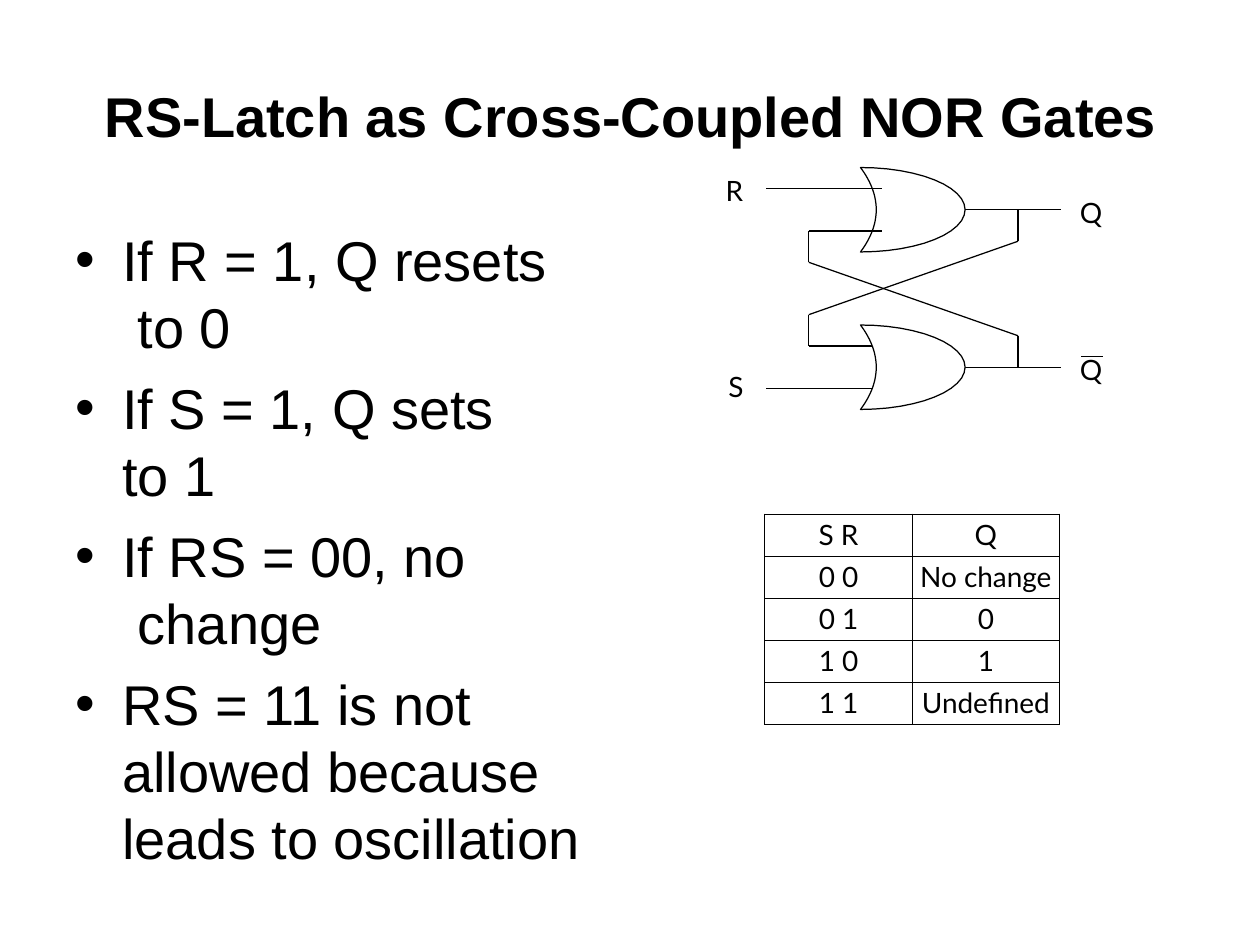
import math

import pptx
import pptx.dml.color
import pptx.enum.shapes
import pptx.enum.text
import pptx.oxml
import pptx.oxml.ns
import pptx.util
from pptx.util import Inches

BLACK = pptx.dml.color.RGBColor(0, 0, 0)
WHITE = pptx.dml.color.RGBColor(255, 255, 255)
LINE_WIDTH = pptx.util.Pt(0.72)
ALIGN = pptx.enum.text.PP_ALIGN

TITLE = "RS-Latch as Cross-Coupled NOR Gates"
RULES = [
    "If R = 1, Q resets\v to 0",
    "If S = 1, Q sets\vto 1",
    "If RS = 00, no\v change",
    "RS = 11 is not\vallowed because\vleads to oscillation",
]
TRUTH_TABLE = [
    ("S R", "Q"),
    ("0 0", "No change"),
    ("0 1", "0"),
    ("1 0", "1"),
    ("1 1", "Undefined"),
]


def write_text(paragraph, text, font="Lato", size=16, bold=False,
               align=ALIGN.LEFT, before=0.9, line_height=None):
    paragraph.text = text
    paragraph.alignment = align
    paragraph.space_before = pptx.util.Pt(before)
    if line_height:
        paragraph.line_spacing = pptx.util.Pt(line_height)
    for run in paragraph.runs:
        run.font.name = font
        run.font.size = pptx.util.Pt(size)
        run.font.bold = bold
        run.font.color.rgb = BLACK


def prepare_frame(shape, wrap=True, left=0.01):
    frame = shape.text_frame
    frame.margin_left = Inches(left)
    frame.margin_right = frame.margin_bottom = 0
    frame.margin_top = Inches(0.01)
    frame.word_wrap = wrap
    frame.auto_size = pptx.enum.text.MSO_AUTO_SIZE.NONE
    frame.vertical_anchor = pptx.enum.text.MSO_ANCHOR.TOP
    return frame


def place(shape, left, top, width, height):
    shape.left, shape.top = Inches(left), Inches(top)
    shape.width, shape.height = Inches(width), Inches(height)


def add_title(slide, *box):
    title = slide.shapes.title
    place(title, *box)
    write_text(prepare_frame(title, wrap=False).paragraphs[0], TITLE,
               font="Arial", size=32, bold=True, before=1.1, line_height=38.4)


def add_rules(slide, *box):
    body = slide.placeholders[1]
    place(body, *box)
    frame = prepare_frame(body, left=0)
    for index, rule in enumerate(RULES):
        paragraph = frame.add_paragraph() if index else frame.paragraphs[0]
        write_text(paragraph, rule, font="Arial", size=32,
                   before=7.7 if index else 1.1, line_height=38.4)
        properties = paragraph._p.get_or_add_pPr()
        properties.set("marL", str(Inches(0.38)))
        properties.set("indent", str(Inches(-0.37)))


def style_outline(shape, fill=None):
    shape.shadow.inherit = False
    shape.line.color.rgb = BLACK
    shape.line.width = LINE_WIDTH
    if fill is None:
        shape.fill.background()
    else:
        shape.fill.solid()
        shape.fill.fore_color.rgb = fill


def add_wires(slide, segments):
    """One outline holding several separate straight wires."""
    builder = None
    for x1, y1, x2, y2 in segments:
        start, end = (Inches(x1), Inches(y1)), (Inches(x2), Inches(y2))
        if builder is None:
            builder = slide.shapes.build_freeform(*start)
        else:
            builder.move_to(*start)
        builder.add_line_segments([end], close=False)
    style_outline(builder.convert_to_shape())


def add_gate(slide, left, top, width, height, fill=None):
    """OR-style body: half-ellipse front and parabolic back."""
    steps, depth = 24, 0.125
    middle, radius = top + height / 2, height / 2
    front, back = [], []
    for step in range(steps + 1):
        angle = math.pi * (step / steps - 0.5)
        front.append((left + width * math.cos(angle), middle + radius * math.sin(angle)))
        offset = 1 - 2 * step / steps
        back.append((left + depth * (1 - offset ** 2), middle + radius * offset))
    points = [(Inches(x), Inches(y)) for x, y in front + back[1:-1]]
    builder = slide.shapes.build_freeform(*points[0])
    builder.add_line_segments(points[1:], close=True)
    style_outline(builder.convert_to_shape(), fill)


def add_label(slide, text, left, top):
    label = slide.shapes.add_textbox(Inches(left), Inches(top), Inches(0.18), Inches(0.29))
    write_text(prepare_frame(label, wrap=False).paragraphs[0], text)


def add_overbar(slide, left, top, width):
    bar = slide.shapes.add_connector(
        pptx.enum.shapes.MSO_CONNECTOR.STRAIGHT,
        Inches(left), Inches(top), Inches(left + width), Inches(top))
    bar.line.color.rgb = BLACK
    bar.line.width = LINE_WIDTH
    bar._element.spPr.append(pptx.oxml.parse_xml(
        f"<a:effectLst {pptx.oxml.ns.nsdecls('a')}/>"))


def add_latch(slide, left, top, width, height):
    gate_width, gate_height, overlap, stub = 0.83, 0.67, 0.17, 0.25
    start, end = left + 0.33, left + width - 0.33
    left_node, right_node = start + 0.34, end - 0.34
    gate_left = left + 1.08
    tip, inner = gate_left + gate_width, gate_left + overlap
    upper, lower = top, top + height - gate_height

    quarter, half = gate_height / 4, gate_height / 2
    upper_output, lower_output = upper + half, lower + half
    reset, set_input = upper + quarter, lower + 3 * quarter
    upper_feedback, lower_feedback = upper + 3 * quarter, lower + quarter
    upper_left, upper_right = upper_feedback + stub, upper_output + stub
    lower_left, lower_right = lower_feedback - stub, lower_output - stub

    # Upper gate
    add_wires(slide, [
        (tip, upper_output, right_node, upper_output),
        (left_node, upper_feedback, inner, upper_feedback),
        (left_node, reset, inner, reset),
    ])
    add_gate(slide, gate_left, upper, gate_width, gate_height)

    # Lower gate covers the ends of its inputs
    add_wires(slide, [
        (left_node, upper_feedback, left_node, upper_left),
        (right_node, upper_output, right_node, upper_right),
        (tip, lower_output, right_node, lower_output),
        (left_node, set_input, inner, set_input),
        (left_node, lower_feedback, inner, lower_feedback),
    ])
    add_gate(slide, gate_left, lower, gate_width, gate_height, WHITE)

    # Crossed feedback and outer leads
    add_wires(slide, [
        (left_node, lower_left, left_node, lower_feedback),
        (right_node, lower_right, right_node, lower_output),
        (left_node, upper_left, right_node, lower_right),
        (left_node, lower_left, right_node, upper_right),
        (start, reset, left_node, reset),
        (right_node, upper_output, end, upper_output),
        (right_node, lower_output, end, lower_output),
        (start, set_input, left_node, set_input),
    ])

    # Signal names, with a bar over the inverted output
    output_left = left + width - 0.19
    add_label(slide, "R", left, top + 0.04)
    add_label(slide, "S", left + 0.02, top + 1.59)
    add_label(slide, "Q", output_left, top + 0.21)
    add_label(slide, "Q", output_left, top + 1.46)
    add_overbar(slide, output_left + 0.02, top + 1.5, 0.17)


def add_cell_borders(cell):
    properties = cell._tc.get_or_add_tcPr()
    for index, side in enumerate(("lnL", "lnR", "lnT", "lnB")):
        properties.insert(index, pptx.oxml.parse_xml(
            f"<a:{side} {pptx.oxml.ns.nsdecls('a')} w=\"{pptx.util.Pt(0.75)}\">"
            f"<a:solidFill><a:srgbClr val=\"{BLACK}\"/></a:solidFill></a:{side}>"))


def add_truth_table(slide, *box):
    table = slide.shapes.add_table(len(TRUTH_TABLE), 2, *map(Inches, box)).table
    table.first_row = table.horz_banding = False
    for row, values in enumerate(TRUTH_TABLE):
        for column, value in enumerate(values):
            cell = table.cell(row, column)
            cell.margin_left = cell.margin_right = cell.margin_bottom = 0
            cell.margin_top = Inches(0.03)
            cell.fill.background()
            add_cell_borders(cell)
            write_text(cell.text_frame.paragraphs[0], value, align=ALIGN.CENTER, before=2.4)


def main():
    presentation = pptx.Presentation()
    presentation.slide_width, presentation.slide_height = Inches(10), Inches(7.5)
    slide = presentation.slides.add_slide(presentation.slide_layouts[1])
    add_title(slide, 0.82, 0.64, 8.37, 0.56)
    add_rules(slide, 0.59, 1.78, 4.22, 4.62)
    add_latch(slide, 5.75, 1.33, 3, 1.92)
    add_truth_table(slide, 6.07, 4.08, 2.34, 1.67)
    presentation.save("out.pptx")


if __name__ == "__main__":
    main()
